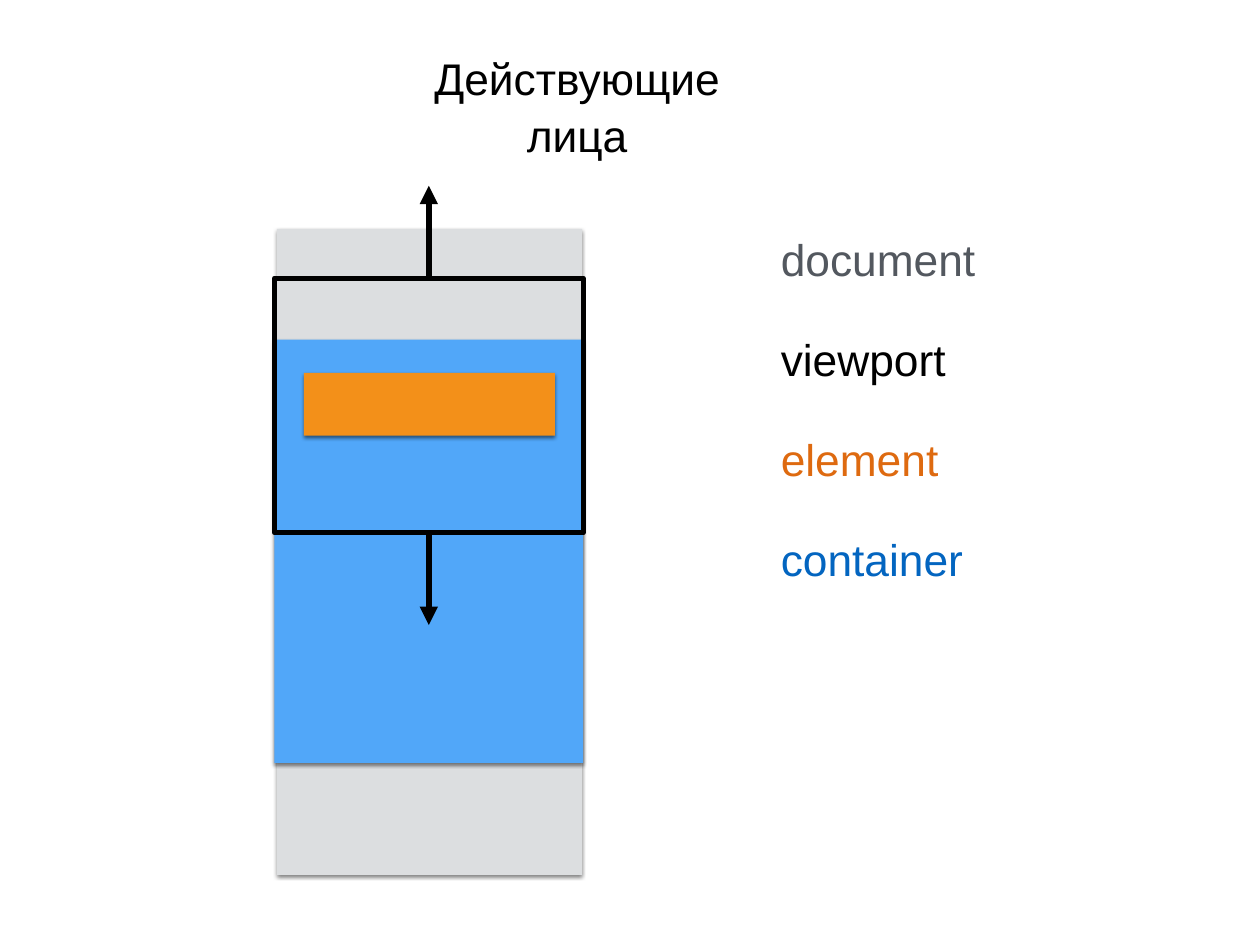
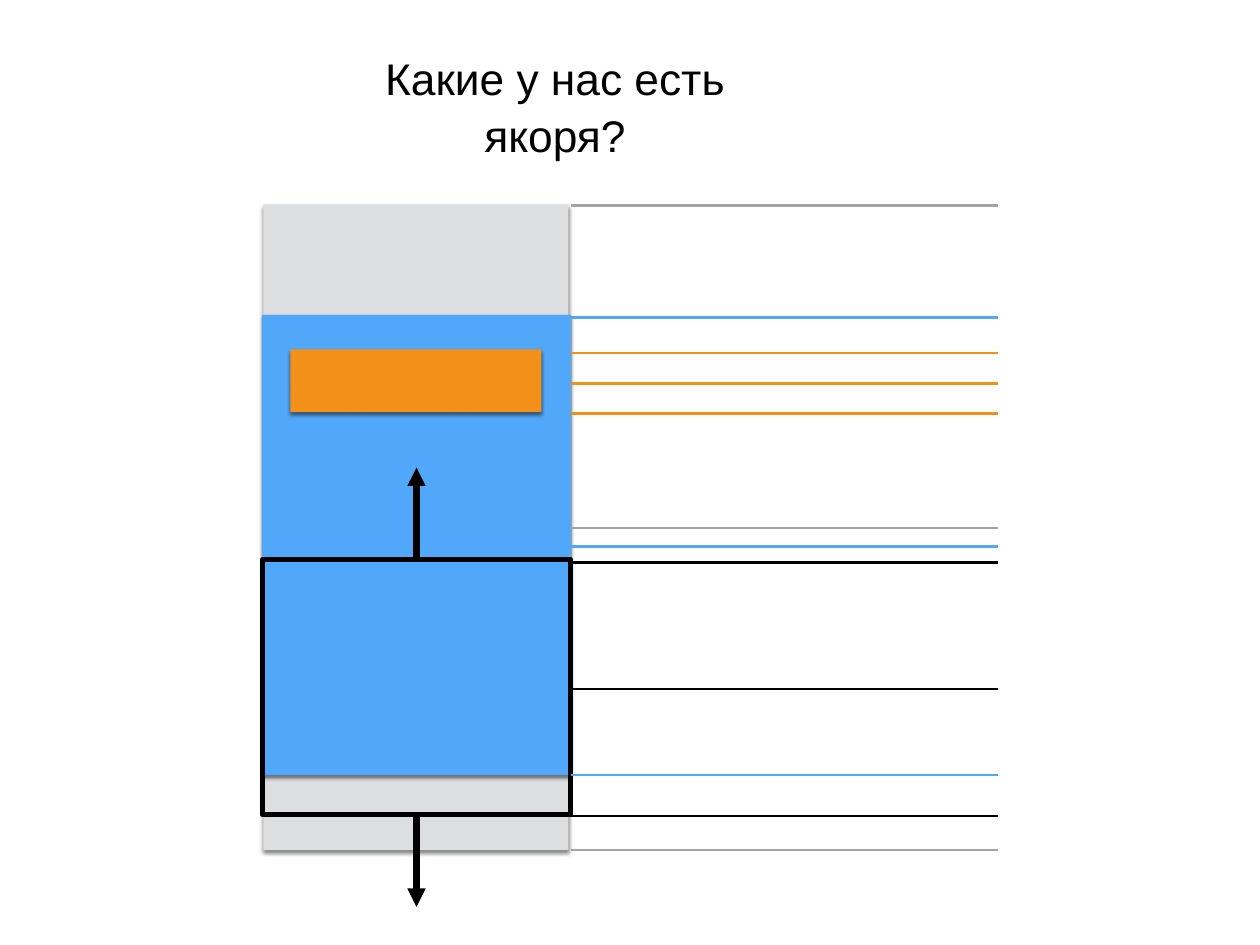
"""Build two slides on page blocks, the viewport and scroll anchors."""
from lxml.etree import SubElement as Sub
from pptx import Presentation
from pptx.dml.color import RGBColor as RGB
from pptx.enum.shapes import MSO_CONNECTOR as LINK, MSO_SHAPE as FORM
from pptx.enum.text import MSO_ANCHOR as ANCHOR, MSO_AUTO_SIZE as FIT, PP_ALIGN as ALIGN
from pptx.oxml.ns import qn
from pptx.util import Emu, Pt

UNIT = 12700
WIDE, HIGH = 1024, 768
HUE = {
    "doc": "DCDEE0", "box": "51A7F9", "elem": "F39019", "black": "000000",
    "gray": "A3A3A3", "slate": "53585F", "rust": "DE6A10", "navy": "0365C0",
}
SHADE = {"blurRad": 3 * UNIT, "dist": 2 * UNIT, "dir": 90 * 60000, "rotWithShape": 0}
FONT = {"name": "Arial", "size": Pt(36), "bold": False}
FRAME = {"word_wrap": True, "auto_size": FIT.NONE}
INSET = {f"margin_{side}": Pt(4.5) for side in ("left", "top", "right", "bottom")}
TITLE = {"width": 308, "height": 90, "top": 40}
REACH = 75

PAGES = [
    {
        "title": "Действующие лица", "mid": 469, "layout": 1,
        "blocks": [("doc", 225, 186, 248, 525), ("box", 223, 276, 251, 344),
                   ("elem", 247, 303, 204, 51)],
        "view": (223, 226, 251, 207),
        "names": [("document", "slate"), ("viewport", "black"),
                  ("element", "rust"), ("container", "navy")],
        "marks": [],
    },
    {
        "title": "Какие у нас есть якоря?", "mid": 451, "layout": 5,
        "blocks": [("doc", 214, 166, 248, 525), ("box", 213, 256, 251, 374),
                   ("elem", 236, 284, 204, 51)],
        "view": (213, 455, 251, 207),
        "names": [],
        "marks": [("gray", 167, 691), ("black", 457, 663),
                  ("elem", 287, 336), ("box", 258, 630)],
    },
]
MARK = (464, 811)
LIST = (630, 184, 250, 290)


def px(num):
    return Emu(int(num * UNIT))


def tint(key):
    return RGB.from_string(HUE[key])


def put(obj, vals):
    for key, val in vals.items():
        setattr(obj, key, val)


def place(shape, *spot):
    put(shape, dict(zip(("left", "top", "width", "height"), map(px, spot))))


def write(para, text, hue):
    run = para.add_run()
    run.text = text
    put(run.font, FONT)
    run.font.color.rgb = tint(hue)


def rect(slide, spot):
    shape = slide.shapes.add_shape(FORM.RECTANGLE, *map(px, spot))
    shape.shadow.inherit = False
    return shape


def block(slide, hue, *spot):
    shape = rect(slide, spot)
    shape.fill.solid()
    shape.fill.fore_color.rgb = tint(hue)
    shape.line.fill.background()
    glow = shape._element.spPr.find(qn("a:effectLst"))
    cast = Sub(glow, qn("a:outerShdw"), {key: str(val) for key, val in SHADE.items()})
    ink = Sub(cast, qn("a:srgbClr"), val=HUE["black"])
    Sub(ink, qn("a:alpha"), val="50000")


def stroke(line, hue, width):
    line.color.rgb = tint(hue)
    line.width = Pt(width)


def link(slide, ends, hue, width):
    line = slide.shapes.add_connector(LINK.STRAIGHT, *map(px, ends))
    stroke(line.line, hue, width)
    Sub(line._element.spPr, qn("a:effectLst"))
    return line


def viewport(slide, spot):
    left, top, width, height = spot
    shape = rect(slide, spot)
    shape.fill.background()
    stroke(shape.line, "black", 4)
    mid = left + width / 2
    for site, start, step in ((0, top, -REACH), (2, top + height, REACH)):
        arrow = link(slide, (mid, start, mid, start + step), "black", 5)
        arrow.begin_connect(shape, site)
        Sub(arrow.line._get_or_add_ln(), qn("a:tailEnd"), type="triangle")


def head(slide, text, mid):
    shape = slide.shapes.title
    place(shape, mid - TITLE["width"] / 2, TITLE["top"], TITLE["width"], TITLE["height"])
    frame = shape.text_frame
    put(frame, {**FRAME, **INSET, "vertical_anchor": ANCHOR.MIDDLE})
    para = frame.paragraphs[0]
    put(para, {"alignment": ALIGN.CENTER, "line_spacing": 1.06})
    write(para, text, "black")


def legend(slide, names):
    body = slide.placeholders[1]
    place(body, *LIST)
    frame = body.text_frame
    put(frame, {**FRAME, **INSET, "vertical_anchor": ANCHOR.TOP})
    for rank, (text, hue) in enumerate(names):
        para = frame.add_paragraph() if rank else frame.paragraphs[0]
        para.space_before = Pt(38 if rank else 0)
        props = para._p.get_or_add_pPr()
        put(para, {"alignment": ALIGN.LEFT})
        props.set("marL", "0")
        props.set("indent", "0")
        Sub(props, qn("a:buNone"))
        write(para, text, hue)


def main():
    deck = Presentation()
    put(deck, {"slide_width": px(WIDE), "slide_height": px(HIGH)})
    for page in PAGES:
        slide = deck.slides.add_slide(deck.slide_layouts[page["layout"]])
        head(slide, page["title"], page["mid"])
        for item in page["blocks"]:
            block(slide, *item)
        viewport(slide, page["view"])
        if page["names"]:
            legend(slide, page["names"])
        for hue, first, last in page["marks"]:
            for row in (first, (first + last) / 2, last):
                link(slide, (MARK[0], row, MARK[1], row), hue, 2)
    deck.save("out.pptx")


if __name__ == "__main__":
    main()
